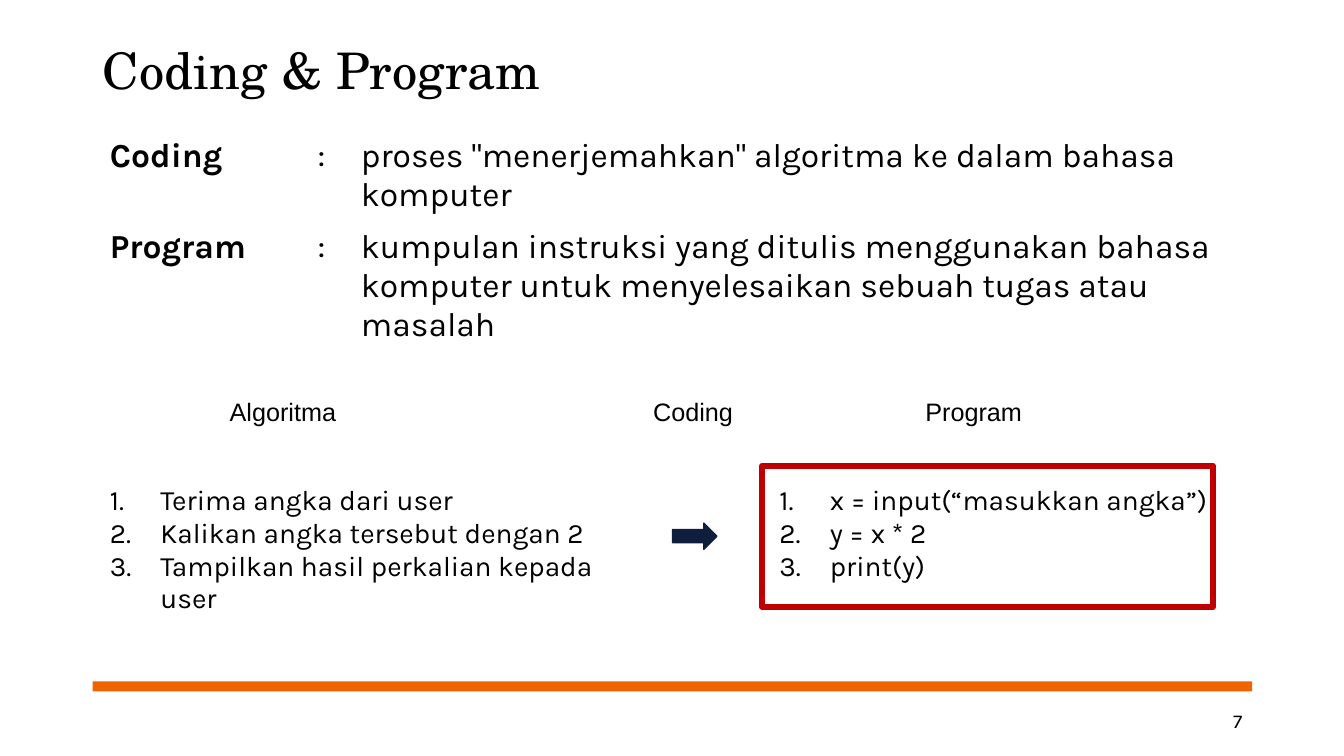
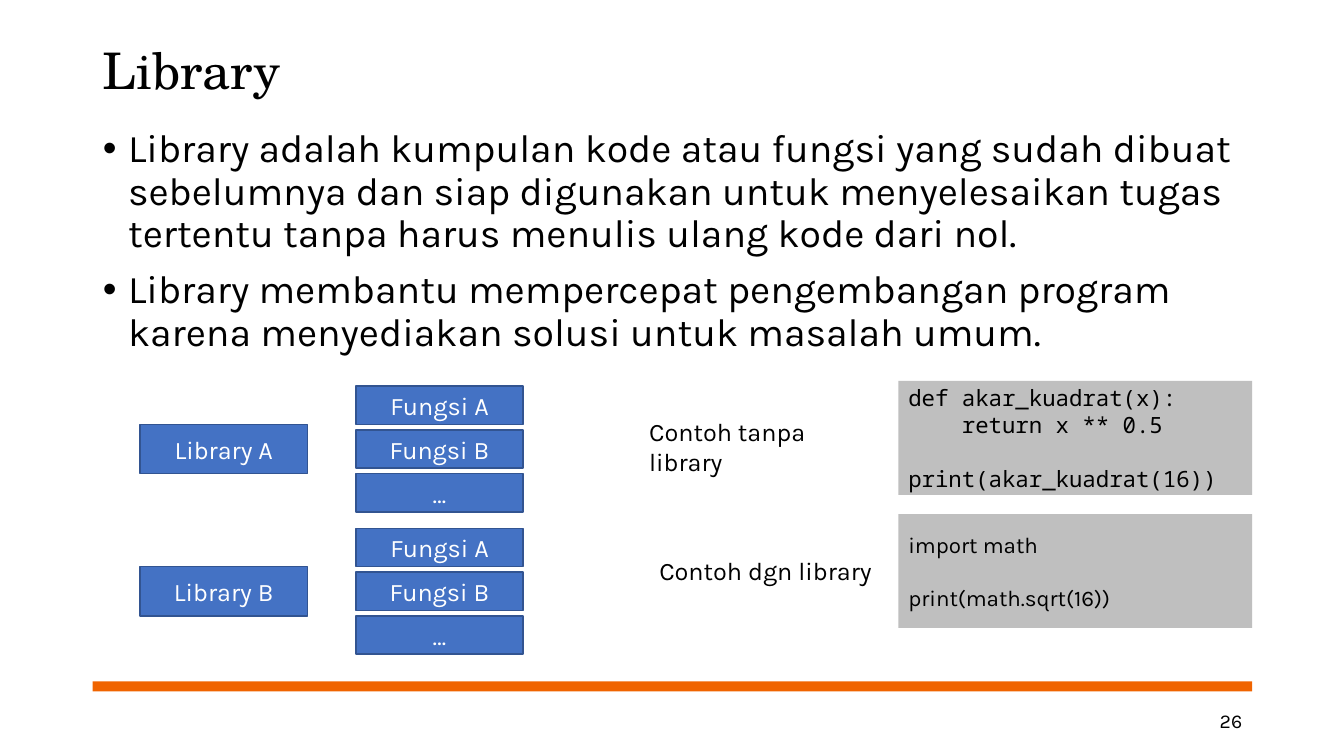
from dataclasses import dataclass
from typing import Any, Optional

from lxml.etree import SubElement
from pptx import Presentation
from pptx.dml.color import RGBColor
from pptx.enum.shapes import MSO_SHAPE
from pptx.enum.text import MSO_ANCHOR, MSO_AUTO_SIZE, PP_ALIGN
from pptx.oxml.ns import qn
from pptx.util import Inches, Pt

BLACK = RGBColor(0x00, 0x00, 0x00)
WHITE = RGBColor(0xFF, 0xFF, 0xFF)
ORANGE = RGBColor(0xF0, 0x64, 0x00)
NAVY = RGBColor(0x10, 0x1E, 0x3E)
RED = RGBColor(0xC0, 0x00, 0x00)
BLUE = RGBColor(0x44, 0x72, 0xC4)
DARK_BLUE = RGBColor(0x32, 0x54, 0x91)
GRAY = RGBColor(0xBF, 0xBF, 0xBF)

SERIF = "TeX Gyre Schola"
SANS = "Karla"
MONO = "Noto Sans Mono"
LABEL = "Arial"

MARGIN = 0.92
CONTENT_WIDTH = 11.5
TITLE_LAYOUT, BODY_LAYOUT = 5, 1
BULLET = ("buChar", {"char": "•"})
NUMBER = ("buAutoNum", {"type": "arabicPeriod"})


@dataclass(frozen=True)
class Area:
    left: float
    top: float
    width: float
    height: float

    def lengths(self) -> tuple:
        return tuple(map(Inches, (self.left, self.top, self.width, self.height)))


@dataclass(frozen=True)
class Style:
    size: float
    name: str = SANS
    color: RGBColor = BLACK
    bold: bool = False


@dataclass(frozen=True)
class Line:
    text: str
    space_before: float = 0


@dataclass(frozen=True)
class Label:
    text: str
    area: Area
    style: Style


@dataclass(frozen=True)
class CodeSample:
    area: Area
    style: Style
    lines: tuple


TITLE_STYLE = Style(36, SERIF)
BODY_STYLE = Style(28)
NUMBER_STYLE = Style(14)
TERM_STYLE = Style(24, bold=True)
MEANING_STYLE = Style(24)
STEP_STYLE = Style(20)
HEADING_STYLE = Style(18, LABEL)
CAPTION_STYLE = Style(18)
BOX_STYLE = Style(18, color=WHITE)

DEFINITIONS = (
    ("Coding", 'proses "menerjemahkan" algoritma ke dalam bahasa komputer'),
    ("Program", "kumpulan instruksi yang ditulis menggunakan bahasa komputer "
                "untuk menyelesaikan sebuah tugas atau masalah"),
)
ALGORITHM_STEPS = (
    Line("Terima angka dari user"),
    Line("Kalikan angka tersebut dengan 2"),
    Line("Tampilkan hasil perkalian kepada user"),
)
PROGRAM_STEPS = (
    Line("x = input(“masukkan angka”)"),
    Line("y = x * 2"),
    Line("print(y)"),
)
STAGES = (
    Label("Algoritma", Area(2.18, 3.88, 1.5, 0.4), HEADING_STYLE),
    Label("Coding", Area(6.38, 3.88, 1.2, 0.4), HEADING_STYLE),
    Label("Program", Area(9.08, 3.88, 1.4, 0.4), HEADING_STYLE),
)
LIBRARY_POINTS = (
    Line("Library adalah kumpulan kode atau fungsi yang sudah dibuat sebelumnya "
         "dan siap digunakan untuk menyelesaikan tugas tertentu tanpa harus "
         "menulis ulang kode dari nol."),
    Line("Library membantu mempercepat pengembangan program karena menyediakan "
         "solusi untuk masalah umum.", 10),
)
LIBRARIES = ("Library A", "Library B")
FUNCTIONS = ("Fungsi A", "Fungsi B", "…")
CAPTIONS = (
    Label("Contoh tanpa library", Area(6.34, 4.08, 2.2, 0.7), CAPTION_STYLE),
    Label("Contoh dgn library", Area(6.44, 5.46, 2.45, 0.4), CAPTION_STYLE),
)
CODE_SAMPLES = (
    CodeSample(Area(8.91, 3.78, 3.51, 1.13), Style(16, MONO), (
        Line("def akar_kuadrat(x):"),
        Line("    return x ** 0.5"),
        Line("print(akar_kuadrat(16))", 19),
    )),
    CodeSample(Area(8.91, 5.1, 3.51, 1.13), Style(16), (
        Line("import math"),
        Line("print(math.sqrt(16))", 19),
    )),
)


def apply(target: Any, values: dict) -> None:
    for attribute, value in values.items():
        setattr(target, attribute, value)


def write(frame: Any, lines: tuple, style: Style, align: Any = PP_ALIGN.LEFT,
          spacing: Optional[float] = None, marker: Optional[tuple] = None,
          indent: float = 0) -> None:
    for position, line in enumerate(lines):
        paragraph = frame.paragraphs[0] if position == 0 else frame.add_paragraph()
        if marker:
            tag, attributes = marker
            properties = paragraph._p.get_or_add_pPr()
            properties.set("marL", str(Inches(indent)))
            properties.set("indent", str(-Inches(indent)))
            SubElement(properties, qn(f"a:{tag}"), attributes)
        apply(paragraph, {"alignment": align, "line_spacing": spacing,
                          "space_before": Pt(line.space_before)})
        run = paragraph.add_run()
        run.text = line.text
        apply(run.font, {"size": Pt(style.size), "name": style.name,
                         "bold": style.bold})
        run.font.color.rgb = style.color


def place(placeholder: Any, area: Area, anchor: Any) -> Any:
    left, top, width, height = area.lengths()
    apply(placeholder, {"left": left, "top": top, "width": width, "height": height})
    apply(placeholder.text_frame, {"auto_size": MSO_AUTO_SIZE.NONE,
                                   "vertical_anchor": anchor, "word_wrap": True})
    return placeholder.text_frame


def add_text(slide: Any, label: Label, align: Any = PP_ALIGN.LEFT,
             anchor: Any = MSO_ANCHOR.TOP) -> None:
    frame = slide.shapes.add_textbox(*label.area.lengths()).text_frame
    apply(frame, {"word_wrap": True, "vertical_anchor": anchor})
    write(frame, (Line(label.text),), label.style, align)


def add_block(slide: Any, area: Area, fill: Optional[RGBColor] = None,
              outline: Optional[RGBColor] = None, weight: float = 1,
              preset: Any = MSO_SHAPE.RECTANGLE) -> Any:
    block = slide.shapes.add_shape(preset, *area.lengths())
    block.shadow.inherit = False
    if fill is None:
        block.fill.background()
    else:
        block.fill.solid()
        block.fill.fore_color.rgb = fill
    if outline is None:
        block.line.fill.background()
    else:
        block.line.color.rgb = outline
        block.line.width = Pt(weight)
    apply(block.text_frame, {"word_wrap": True, "vertical_anchor": MSO_ANCHOR.MIDDLE})
    return block


def add_table(slide: Any, area: Area, columns: tuple, rows: tuple) -> Any:
    table = slide.shapes.add_table(len(rows), len(columns), *area.lengths()).table
    apply(table, {"first_row": False, "horz_banding": False})
    for column, width in zip(table.columns, columns):
        column.width = Inches(width)
    for row, height in zip(table.rows, rows):
        row.height = Inches(height)
    for cell in table.iter_cells():
        cell.fill.background()
    return table


def start_slide(deck: Any, layout: int, title: str, number: int) -> Any:
    slide = deck.slides.add_slide(deck.slide_layouts[layout])
    add_block(slide, Area(MARGIN, 6.76, CONTENT_WIDTH, 0.1), ORANGE)
    heading = place(slide.shapes.title, Area(MARGIN, 0.24, CONTENT_WIDTH, 0.98),
                    MSO_ANCHOR.MIDDLE)
    write(heading, (Line(title),), TITLE_STYLE, spacing=0.9)
    add_text(slide, Label(str(number), Area(9.42, 6.95, 3, 0.4), NUMBER_STYLE),
             PP_ALIGN.RIGHT, MSO_ANCHOR.MIDDLE)
    return slide


def build_coding_slide(deck: Any) -> None:
    slide = start_slide(deck, TITLE_LAYOUT, "Coding & Program", 7)
    definitions = add_table(slide, Area(0.99, 1.31, 11.43, 2.15),
                            (2.06, 0.43, 8.94), (0.88, 1.27))
    for row, (term, meaning) in enumerate(DEFINITIONS):
        contents = ((term, TERM_STYLE), (":", MEANING_STYLE), (meaning, MEANING_STYLE))
        for column, (text, style) in enumerate(contents):
            write(definitions.cell(row, column).text_frame, (Line(text),), style)

    steps = add_table(slide, Area(0.99, 4.76, 11.43, 1.4), (5.38, 1.26, 4.79), (1.4,))
    for column, lines in ((0, ALGORITHM_STEPS), (2, PROGRAM_STEPS)):
        write(steps.cell(0, column).text_frame, lines, STEP_STYLE,
              marker=NUMBER, indent=0.5)
    add_block(slide, Area(6.67, 5.19, 0.44, 0.26), NAVY, NAVY,
              preset=MSO_SHAPE.RIGHT_ARROW)
    add_block(slide, Area(7.56, 4.62, 4.47, 1.4), outline=RED, weight=4.5)
    for stage in STAGES:
        add_text(slide, stage)


def add_box(slide: Any, text: str, area: Area) -> None:
    box = add_block(slide, area, BLUE, DARK_BLUE)
    write(box.text_frame, (Line(text),), BOX_STYLE, PP_ALIGN.CENTER)


def build_library_slide(deck: Any) -> None:
    slide = start_slide(deck, BODY_LAYOUT, "Library", 26)
    points = place(slide.placeholders[1], Area(MARGIN, 1.23, CONTENT_WIDTH, 2.52),
                   MSO_ANCHOR.TOP)
    write(points, LIBRARY_POINTS, BODY_STYLE, spacing=0.9, marker=BULLET, indent=0.25)

    for group, library in enumerate(LIBRARIES):
        top = 3.83 + 1.41 * group
        add_box(slide, library, Area(1.39, top + 0.38, 1.66, 0.49))
        for order, function in enumerate(FUNCTIONS):
            add_box(slide, function, Area(3.53, top + 0.435 * order, 1.66, 0.38))
    for caption in CAPTIONS:
        add_text(slide, caption)
    for sample in CODE_SAMPLES:
        panel = add_block(slide, sample.area, GRAY)
        write(panel.text_frame, sample.lines, sample.style)


def main() -> None:
    deck = Presentation()
    apply(deck, {"slide_width": Inches(13.33), "slide_height": Inches(7.5)})
    build_coding_slide(deck)
    build_library_slide(deck)
    deck.save("out.pptx")


if __name__ == "__main__":
    main()
